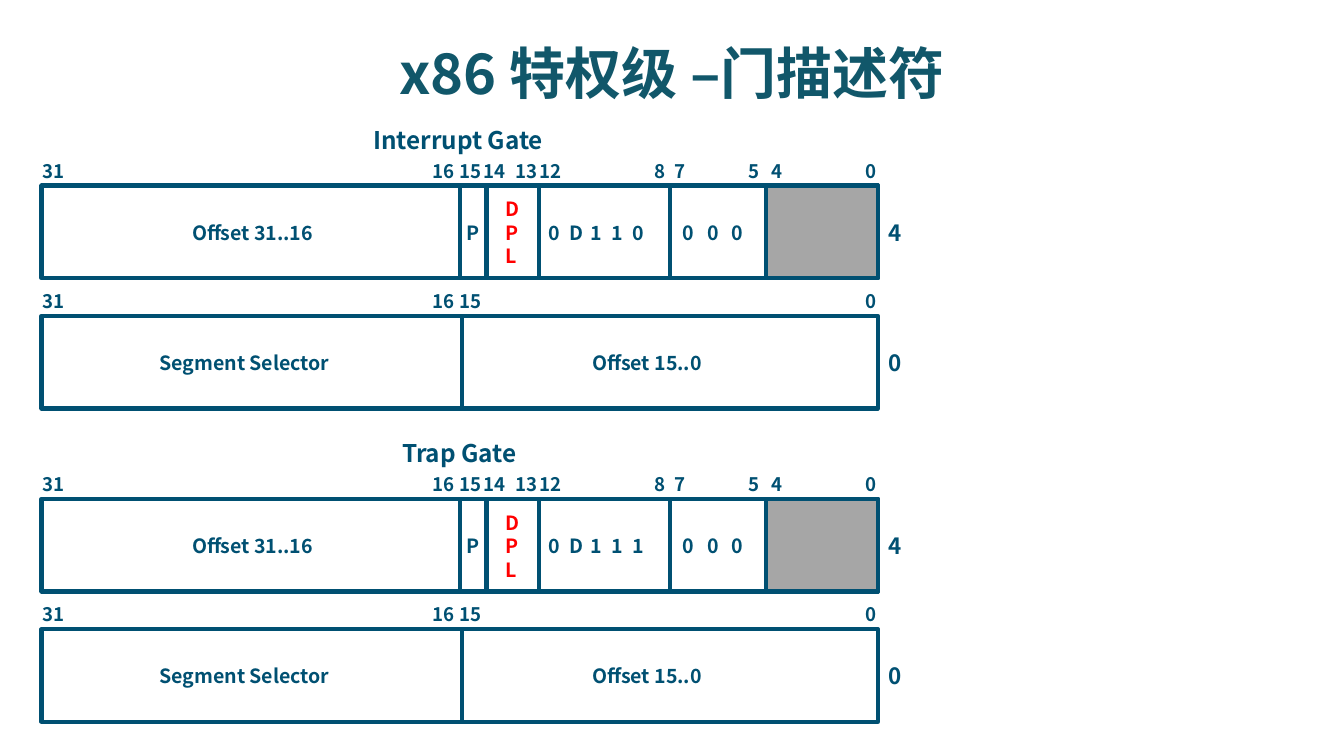
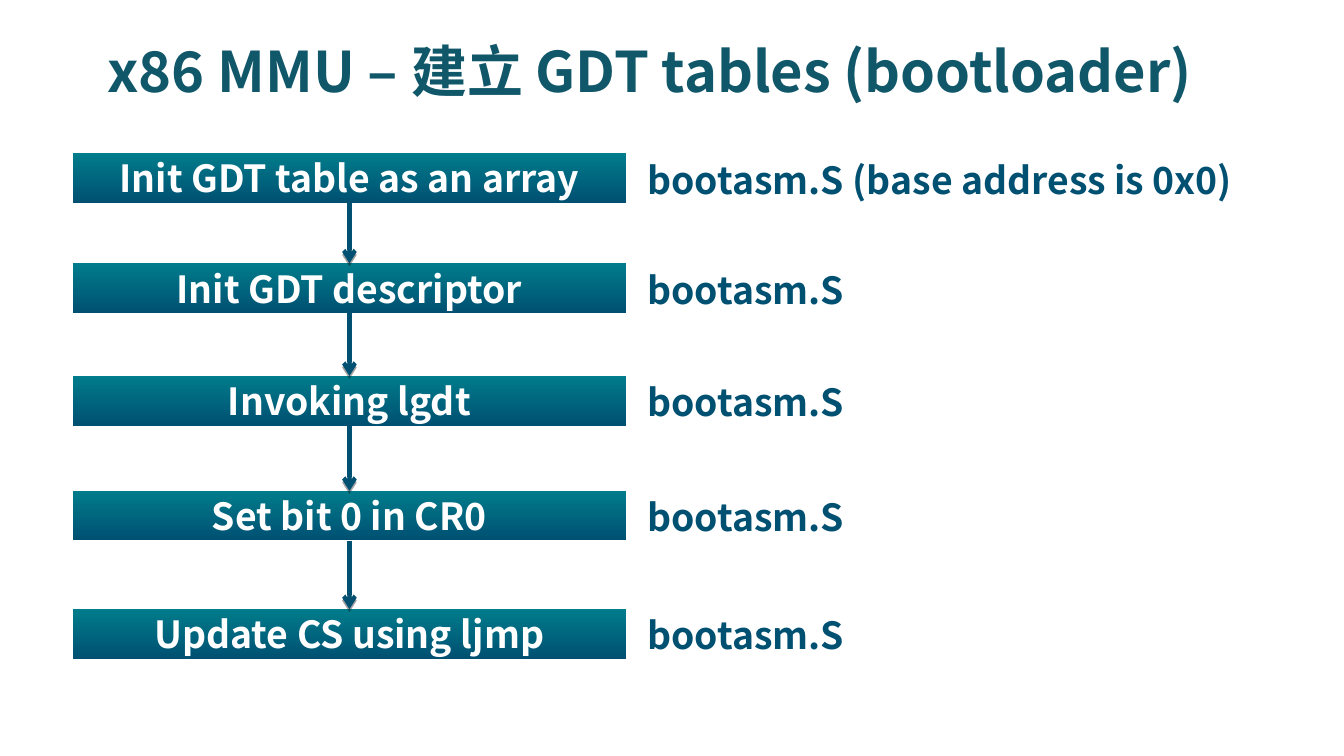
from itertools import pairwise

from lxml import etree
from pptx import Presentation
from pptx.dml.color import RGBColor
from pptx.enum.shapes import MSO_CONNECTOR as Connector, MSO_SHAPE as Shape
from pptx.enum.text import MSO_ANCHOR as Anchor, MSO_AUTO_SIZE as AutoSize, PP_ALIGN as Align
from pptx.oxml.ns import qn
from pptx.util import Pt

FONT = "Noto Sans CJK SC"
TITLE_TEAL = RGBColor(0x11, 0x57, 0x6A)
NAVY = RGBColor(0x00, 0x50, 0x72)
TEAL = RGBColor(0x00, 0x7C, 0x8B)
RED = RGBColor(0xFF, 0x00, 0x00)
GREY = RGBColor(0xA6, 0xA6, 0xA6)
WHITE = RGBColor(0xFF, 0xFF, 0xFF)


def write(shape, text, size, color, align=Align.LEFT, tab=None):
    """Fill a shape with bold text; tab is the pitch of its tab stops in points."""
    frame = shape.text_frame
    frame.text = text
    frame.auto_size = AutoSize.NONE
    frame.vertical_anchor = Anchor.MIDDLE
    for paragraph in frame.paragraphs:
        paragraph.alignment = align
        if tab:
            stops = etree.SubElement(paragraph._p.get_or_add_pPr(), qn("a:tabLst"))
            for n in range(1, text.count("\t") + 1):
                etree.SubElement(stops, qn("a:tab"), pos=str(Pt(tab * n)), algn="l")
        for run in paragraph.runs:
            run.font.size = Pt(size)
            run.font.bold = True
            run.font.color.rgb = color
            run.font.name = FONT
            etree.SubElement(run._r.get_or_add_rPr(), qn("a:ea"), typeface=FONT)


def add_label(slide, text, left, top, width, height, size, color=NAVY, tab=None):
    label = slide.shapes.add_textbox(Pt(left), Pt(top), Pt(width), Pt(height))
    write(label, text, size, color, tab=tab)
    return label


prs = Presentation()
prs.slide_width, prs.slide_height = Pt(720), Pt(405)

slides = []
for heading, left, width, height, align in [
    ("x86 特权级 –门描述符", 0, 720, 44, Align.CENTER),
    ("x86 MMU – 建立 GDT tables (bootloader)", 50.4, 669, 41.6, Align.LEFT),
]:
    slide = prs.slides.add_slide(prs.slide_layouts[5])
    title = slide.shapes.title
    title.left, title.top, title.width, title.height = Pt(left), Pt(16.5), Pt(width), Pt(height)
    write(title, heading, 30, TITLE_TEAL, align)
    slides.append(slide)
gates, boot = slides

# Gate descriptors: two 32-bit words each, high word on top
WORD_LEFT, WORD_WIDTH, WORD_HEIGHT = 22.3, 448, 49.7
WORD_STEP, GATE_STEP = 69.8, 167.8
FIRST_TOP = 99.4
RESERVED_LEFT = 410.4

# Each word: byte offset, bit numbers with their left edges, dividers
WORDS = [
    ("4",
     [("31", 15.8), ("16", 224.6), ("15", 239), ("14", 252), ("13", 269.3), ("12", 282.2),
      ("8", 343.4), ("7", 354.2), ("5", 393.8), ("4", 406), ("0", 456.5)],
     [246.3, 260.6, 288.7, 358.9]),
    ("0",
     [("31", 15.8), ("16", 224.6), ("15", 239), ("0", 456.5)],
     [247.7]),
]

for gate, (name, name_left, name_width, type_bits) in enumerate([
    ("Interrupt Gate", 193, 121.7, "0\tD\t1\t1\t0"),
    ("Trap Gate", 208.4, 92.9, "0\tD\t1\t1\t1"),
]):
    gate_top = FIRST_TOP + gate * GATE_STEP
    add_label(gates, name, name_left, gate_top - 36.2, name_width, 23, 13)

    for row, (byte_offset, bit_numbers, dividers) in enumerate(WORDS):
        top = gate_top + row * WORD_STEP
        word = gates.shapes.add_shape(
            Shape.RECTANGLE, Pt(WORD_LEFT), Pt(top), Pt(WORD_WIDTH), Pt(WORD_HEIGHT))
        outlined = [word]
        word.fill.background()
        if row == 0:
            reserved = gates.shapes.add_shape(
                Shape.RECTANGLE, Pt(RESERVED_LEFT), Pt(top),
                Pt(WORD_LEFT + WORD_WIDTH - RESERVED_LEFT), Pt(WORD_HEIGHT))
            reserved.fill.solid()
            reserved.fill.fore_color.rgb = GREY
            outlined.append(reserved)
        for field in outlined:
            field.shadow.inherit = False

        for x in dividers:
            divider = gates.shapes.add_connector(
                Connector.STRAIGHT, Pt(x), Pt(top), Pt(x), Pt(top + WORD_HEIGHT))
            if x == WORD_LEFT + WORD_WIDTH / 2:
                divider.begin_connect(word, 0)
                divider.end_connect(word, 2)
            etree.SubElement(divider._element.spPr, qn("a:effectLst"))
            outlined.append(divider)
        for part in outlined:
            part.line.color.rgb = NAVY
            part.line.width = Pt(2.25)

        for number, left in bit_numbers:
            add_label(gates, number, left, top - 18, 28 if len(number) == 2 else 16.6, 20, 10)
        add_label(gates, byte_offset, 468.7, top + 14.4, 16.6, 21.6, 12)

    for text, row, left, width, tab in [
        ("Offset 31..16", 0, 95.8, 90, None),
        ("P", 0, 242.6, 24.5, None),
        (type_bits, 0, 286.6, 78.5, 11.3),
        ("0\t0\t0", 0, 358.6, 54.7, 13.1),
        ("Segment Selector", 1, 78.5, 128.9, None),
        ("Offset 15..0", 1, 310.3, 84.2, None),
    ]:
        add_label(gates, text, left, gate_top + row * WORD_STEP + 15.2, width, 20, 10.5, tab=tab)

    privilege = add_label(gates, "D\nP\nL", 263.5, gate_top + 2.5, 24.5, 45.4, 10.5, RED)
    for paragraph in privilege.text_frame.paragraphs:
        paragraph.line_spacing = Pt(12.6)

# Boot steps with the source file of each
steps = []
for text, top, source in [
    ("Init GDT table as an array", 82.1, "bootasm.S (base address is 0x0)"),
    ("Init GDT descriptor", 141.1, "bootasm.S"),
    ("Invoking lgdt", 201.4, "bootasm.S"),
    ("Set bit 0 in CR0", 263, "bootasm.S"),
    ("Update CS using ljmp", 326.3, "bootasm.S"),
]:
    step = boot.shapes.add_shape(
        Shape.FLOWCHART_PROCESS, Pt(38.9), Pt(top), Pt(296.6), Pt(26.6))
    step.shadow.inherit = False
    step.line.fill.background()
    step.fill.gradient()
    step.fill.gradient_angle = 270
    for stop, color in zip(step.fill.gradient_stops, (TEAL, NAVY)):
        stop.color.rgb = color
    write(step, text, 20, WHITE, Align.CENTER)
    steps.append(step)

    file_label = add_label(boot, source, 339.8, top - 2, 340 if "(" in source else 122.4, 31.7, 20)
    file_label.text_frame.word_wrap = False

for upper, lower in pairwise(steps):
    arrow = boot.shapes.add_connector(Connector.STRAIGHT, 0, 0, 0, 0)
    arrow.begin_connect(upper, 2)
    arrow.end_connect(lower, 0)
    arrow.line.color.rgb = NAVY
    arrow.line.width = Pt(2.25)
    etree.SubElement(arrow.line._get_or_add_ln(), qn("a:tailEnd"), type="arrow")
    effects = etree.SubElement(arrow._element.spPr, qn("a:effectLst"))
    shadow = etree.SubElement(effects, qn("a:outerShdw"), blurRad="0", dist=str(Pt(1.6)),
                              dir="5400000", rotWithShape="0")
    black = etree.SubElement(shadow, qn("a:srgbClr"), val="000000")
    etree.SubElement(black, qn("a:alpha"), val="36000")

prs.save("out.pptx")
